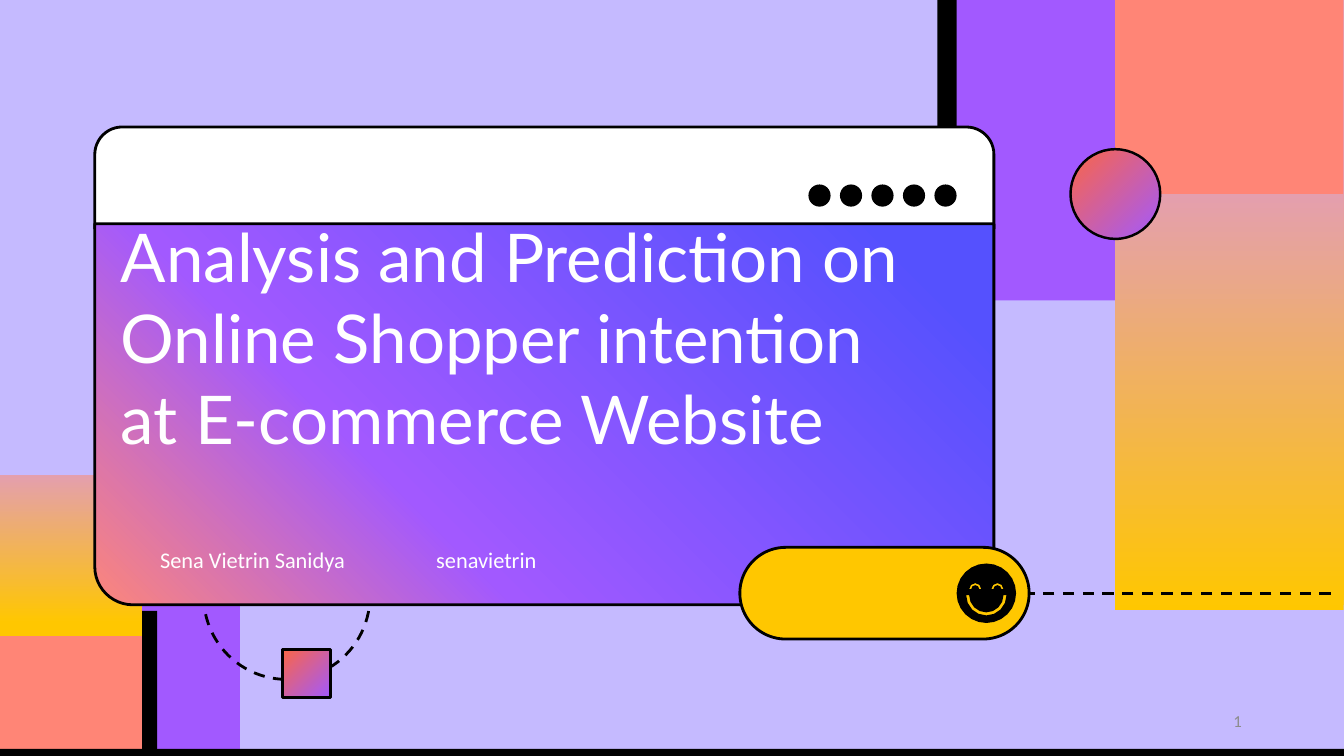
import math
import pptx
import pptx.dml.color
import pptx.enum.dml
import pptx.enum.shapes
import pptx.enum.text
import pptx.oxml.ns
import pptx.util
from lxml import etree

Inches = pptx.util.Inches
Pt = pptx.util.Pt
RGBColor = pptx.dml.color.RGBColor
SHAPE = pptx.enum.shapes.MSO_SHAPE
ANCHOR = pptx.enum.text.MSO_ANCHOR
ALIGN = pptx.enum.text.PP_ALIGN
DASH = pptx.enum.dml.MSO_LINE.DASH
qn = pptx.oxml.ns.qn

LAVENDER = RGBColor(0xC5, 0xBA, 0xFF)
BLACK = RGBColor(0x00, 0x00, 0x00)
WHITE = RGBColor(0xFF, 0xFF, 0xFF)
GRAY = RGBColor(0x8C, 0x8C, 0x8C)
CORAL = RGBColor(0xFF, 0x85, 0x76)
SALMON = RGBColor(0xFC, 0x86, 0x7A)
ORANGE = RGBColor(0xFC, 0x66, 0x45)
PURPLE = RGBColor(0xA2, 0x59, 0xFF)
BLUE = RGBColor(0x55, 0x51, 0xFE)
YELLOW = RGBColor(0xFF, 0xC7, 0x00)
PINK = RGBColor(0xE4, 0x9F, 0xAE)

SUNRISE = (90, [(0, YELLOW), (100, PINK)])
LEFT_SUNRISE = (90, [(8, YELLOW), (100, PINK)])
WINDOW_GLOW = (45, [(9, BLUE), (67, PURPLE), (100, SALMON)])
ACCENT = (315, [(0, ORANGE), (100, PURPLE)])


def set_fill(shape, fill):
    if fill is None:
        shape.fill.background()
    elif isinstance(fill, RGBColor):
        shape.fill.solid()
        shape.fill.fore_color.rgb = fill
    else:
        angle, stops = fill
        shape.fill.gradient()
        shape.fill.gradient_angle = angle
        stop_list = shape._element.spPr.find(qn("a:gradFill")).find(qn("a:gsLst"))
        for stop in list(stop_list):
            stop_list.remove(stop)
        for position, color in stops:
            stop = etree.SubElement(stop_list, qn("a:gs"), pos=str(position * 1000))
            etree.SubElement(stop, qn("a:srgbClr"), val=str(color))


def set_line(line, width, dash=None):
    line.color.rgb = BLACK
    line.width = Pt(width)
    if dash:
        line.dash_style = dash


def add_block(slide, kind, box, fill, outline=None, dash=None, adjustments=()):
    shape = slide.shapes.add_shape(kind, *(Inches(value) for value in box))
    shape.shadow.inherit = False
    for index, value in enumerate(adjustments):
        shape.adjustments[index] = value
    set_fill(shape, fill)
    if outline:
        set_line(shape.line, outline, dash)
    else:
        shape.line.fill.background()
    return shape


def add_label(slide, box, text, font, align=ALIGN.LEFT, frame=None):
    text_box = slide.shapes.add_textbox(*(Inches(value) for value in box))
    frame_format = {"word_wrap": True, "vertical_anchor": ANCHOR.MIDDLE, **(frame or {})}
    for name, value in frame_format.items():
        setattr(text_box.text_frame, name, value)
    paragraph = text_box.text_frame.paragraphs[0]
    paragraph.alignment = align
    run = paragraph.add_run()
    run.text = text
    font_format = {"name": "Calibri", "size": Pt(16), **font}
    color = font_format.pop("color")
    for name, value in font_format.items():
        setattr(run.font, name, value)
    run.font.color.rgb = color


def arc_points(center_x, center_y, radius, start, end, steps):
    angles = [math.radians(start + (end - start) * step / steps) for step in range(steps + 1)]
    return [(Inches(center_x + radius * math.cos(angle)),
             Inches(center_y + radius * math.sin(angle))) for angle in angles]


def band_points(center_x, center_y, outer, inner, start, end, steps):
    return (arc_points(center_x, center_y, outer, start, end, steps)
            + arc_points(center_x, center_y, inner, end, start, steps))


def add_smiley(slide, left, top, size):
    x, y = left + size / 2, top + size / 2
    head = arc_points(x, y, size / 2, 0, 360, 24)[:-1]
    eyes = [band_points(x + offset, y - 0.04, 0.06, 0.04, 180, 360, 4)
            for offset in (-0.11, 0.11)]
    mouth = band_points(x, y + 0.02, 0.2, 0.17, 0, 180, 8)
    builder = slide.shapes.build_freeform(*head[0])
    builder.add_line_segments(head[1:], close=True)
    for contour in (*eyes, mouth):
        builder.move_to(*contour[0])
        builder.add_line_segments(contour[1:], close=True)
    face = builder.convert_to_shape()
    face.shadow.inherit = False
    set_fill(face, BLACK)
    face.line.fill.background()


def add_left_corner(slide, left, top):
    add_block(slide, SHAPE.RECTANGLE, (left, top + 1.6, 1.41, 1.19), CORAL)
    add_block(slide, SHAPE.RECTANGLE, (left + 1.41, top + 0.94, 0.97, 1.85), PURPLE)
    add_block(slide, SHAPE.RECTANGLE, (left, top, 1.41, 1.6), LEFT_SUNRISE)


def add_right_corner(slide, left, top):
    add_block(slide, SHAPE.RECTANGLE, (left, top, 0.22, 1.37), BLACK)
    add_block(slide, SHAPE.RECTANGLE, (left + 1.76, top, 2.27, 1.93), CORAL)
    add_block(slide, SHAPE.RECTANGLE, (left + 0.19, top, 1.57, 2.98), PURPLE)
    add_block(slide, SHAPE.RECTANGLE, (left + 1.76, top + 1.92, 2.27, 4.13), SUNRISE)


def add_window(slide, left, top, width):
    add_block(slide, SHAPE.ROUND_2_SAME_RECTANGLE, (left, top, width, 1.01), WHITE,
              outline=2, adjustments=(0.27, 0))
    body = add_block(slide, SHAPE.ROUND_2_SAME_RECTANGLE, (left, top + 0.96, width, 3.78),
                     WINDOW_GLOW, outline=2, adjustments=(0.1, 0))
    body.rotation = 180
    add_label(slide, (left + 0.26, top + 0.83, 7.87, 3.33),
              "Analysis and Prediction on Online Shopper intention at E-commerce Website",
              {"name": "Lato", "size": Pt(48), "color": WHITE},
              frame={"vertical_anchor": ANCHOR.TOP, "margin_left": 0})
    for index in range(5):
        add_block(slide, SHAPE.OVAL, (left + 7.08 + 1.25 * index / 4, top + 0.57, 0.22, 0.22),
                  BLACK)


def add_pill(slide, left, top, width, height):
    pill = add_block(slide, SHAPE.ROUNDED_RECTANGLE, (left, top, width, height), YELLOW,
                     outline=2, adjustments=(0.5,))
    middle = Inches(top + height / 2)
    connector = slide.shapes.add_connector(
        pptx.enum.shapes.MSO_CONNECTOR.STRAIGHT,
        Inches(13.2), middle, Inches(left + width), middle)
    connector.end_connect(pill, 3)
    set_line(connector.line, 2, DASH)
    etree.SubElement(connector._element.spPr, qn("a:effectLst"))
    add_smiley(slide, left + 2.15, top + 0.16, 0.59)


def add_ornaments(slide, width, height):
    add_block(slide, SHAPE.RECTANGLE, (0, height - 0.07, width, 0.07), BLACK)
    add_block(slide, SHAPE.OVAL, (10.62, 1.48, 0.89, 0.89), ACCENT, outline=1.75)
    add_block(slide, SHAPE.RECTANGLE, (2.8, 6.44, 0.48, 0.48), ACCENT, outline=2)
    add_block(slide, SHAPE.RECTANGLE, (1.41, 6.06, 0.15, 1.37), BLACK)


def add_authors(slide, left, top):
    add_label(slide, (left, top + 0.01, 6.39, 0.48), "Sena Vietrin Sanidya",
              {"color": WHITE}, ALIGN.CENTER)
    add_label(slide, (left + 4.18, top + 0.08, 2.67, 0.35), "senavietrin",
              {"color": WHITE}, ALIGN.CENTER)


def build_title_slide(presentation, width, height):
    slide = presentation.slides.add_slide(presentation.slide_layouts[6])
    slide.background.fill.solid()
    slide.background.fill.fore_color.rgb = LAVENDER
    add_left_corner(slide, 0, 4.71)
    add_right_corner(slide, 9.3, 0)
    add_block(slide, SHAPE.OVAL, (2.02, 5.09, 1.65, 1.65), None, outline=2, dash=DASH)
    add_label(slide, (9.42, 6.95, 3, 0.4), "1", {"size": Pt(12), "color": GRAY}, ALIGN.RIGHT)
    add_window(slide, 0.94, 1.26, 8.92)
    add_pill(slide, 7.34, 5.43, 2.87, 0.91)
    add_ornaments(slide, width, height)
    add_authors(slide, -0.69, 5.3)


def main():
    width, height = 40 / 3, 7.5
    presentation = pptx.Presentation()
    presentation.slide_width = Inches(width)
    presentation.slide_height = Inches(height)
    build_title_slide(presentation, width, height)
    presentation.save("out.pptx")


if __name__ == "__main__":
    main()
